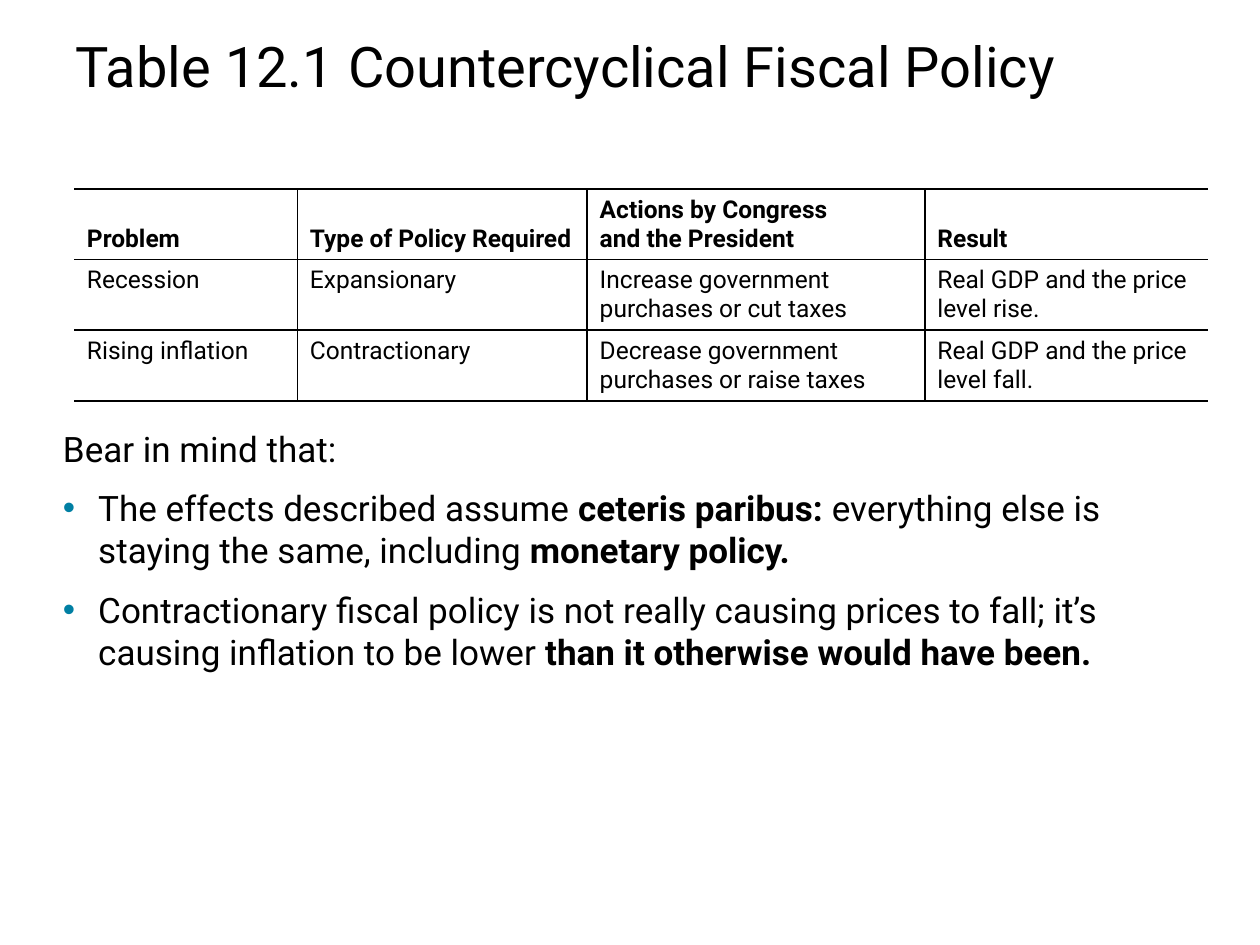
from dataclasses import dataclass

from lxml.etree import SubElement
from pptx import Presentation
from pptx.dml.color import RGBColor as Rgb
from pptx.enum.text import MSO_ANCHOR as Anchor, MSO_AUTO_SIZE as AutoSize, PP_ALIGN as Align
from pptx.oxml import parse_xml
from pptx.oxml.ns import nsdecls, qn
from pptx.util import Inches, Pt


@dataclass(frozen=True)
class Theme:
    font: str = "Roboto"
    ink: str = "000000"
    accent: str = "007FA3"
    title_size: int = 32
    body_size: int = 20
    table_size: int = 14
    rule_width: int = 1
    bullet_indent: float = 0.28


THEME = Theme()
SLIDE_WIDTH, SLIDE_HEIGHT = 10, 7.5
MARGIN = 0.05 * SLIDE_WIDTH
CONTENT_WIDTH = SLIDE_WIDTH - 2 * MARGIN
COLUMN_WIDTHS = (1.77, 2.3, 2.68, 2.25)
ROW_HEIGHT = 0.56

POLICIES = (
    ("Problem", "Type of Policy Required",
     "Actions by Congress\nand the President", "Result"),
    ("Recession", "Expansionary",
     "Increase government\npurchases or cut taxes",
     "Real GDP and the price level rise."),
    ("Rising inflation", "Contractionary",
     "Decrease government\npurchases or raise taxes",
     "Real GDP and the price level fall."),
)
CAVEATS = (
    (("The effects described assume ", False), ("ceteris paribus: ", True),
     ("everything else is staying the same, including ", False),
     ("monetary policy.", True)),
    (("Contractionary fiscal policy is not really causing prices to fall; "
      "it’s causing inflation to be lower ", False),
     ("than it otherwise would have been.", True)),
)


def write(paragraph, text, size, bold=False, color=THEME.ink):
    run = paragraph.add_run()
    run.text = text
    run.font.name = THEME.font
    run.font.size = Pt(size)
    run.font.bold = bold
    run.font.color.rgb = Rgb.from_string(color)


def add_bullet(paragraph):
    properties = paragraph._p.get_or_add_pPr()
    indent = Inches(THEME.bullet_indent)
    properties.set("marL", str(indent))
    properties.set("indent", str(-indent))
    color = SubElement(properties, qn("a:buClr"))
    SubElement(color, qn("a:srgbClr"), val=THEME.accent)
    SubElement(properties, qn("a:buFont"), typeface="Arial")
    SubElement(properties, qn("a:buChar"), char="•")


def add_title(slide, text):
    title = slide.shapes.title
    title.left, title.top = Inches(MARGIN), Inches(0.17)
    title.width, title.height = Inches(CONTENT_WIDTH), Inches(0.76)
    frame = title.text_frame
    frame.word_wrap = True
    frame.auto_size = AutoSize.NONE
    frame.vertical_anchor = Anchor.MIDDLE
    heading = frame.paragraphs[0]
    heading.alignment = Align.LEFT
    heading.line_spacing = 0.9
    write(heading, text, THEME.title_size)


def set_borders(cell, sides):
    properties = cell._tc.get_or_add_tcPr()
    for index, side in enumerate("LRTB"):
        if side in sides:
            line = (f'<a:solidFill><a:srgbClr val="{THEME.ink}"/></a:solidFill>')
        else:
            line = "<a:noFill/>"
        properties.insert(index, parse_xml(
            f'<a:ln{side} {nsdecls("a")} w="{Pt(THEME.rule_width)}">{line}</a:ln{side}>'))


def fill_cell(cell, text, is_header, sides):
    cell.fill.background()
    set_borders(cell, sides)
    cell.vertical_anchor = Anchor.BOTTOM if is_header else Anchor.TOP
    frame = cell.text_frame
    for index, line in enumerate(text.split("\n")):
        paragraph = frame.add_paragraph() if index else frame.paragraphs[0]
        write(paragraph, line, THEME.table_size, bold=is_header)


def add_policy_table(slide):
    last_column = len(COLUMN_WIDTHS) - 1
    policy_table = slide.shapes.add_table(
        len(POLICIES), len(COLUMN_WIDTHS), Inches(0.59), Inches(0.2 * SLIDE_HEIGHT),
        Inches(sum(COLUMN_WIDTHS)), Inches(ROW_HEIGHT * len(POLICIES))).table
    policy_table.first_row = policy_table.horz_banding = False
    for column, width in zip(policy_table.columns, COLUMN_WIDTHS):
        column.width = Inches(width)
    for row_index, policy in enumerate(POLICIES):
        policy_table.rows[row_index].height = Inches(ROW_HEIGHT)
        for column_index, text in enumerate(policy):
            sides = "TB"
            if column_index > 0:
                sides += "L"
            if column_index < last_column:
                sides += "R"
            fill_cell(policy_table.cell(row_index, column_index), text,
                      is_header=row_index == 0, sides=sides)


def add_caveats(slide, lead):
    notes = slide.shapes.add_textbox(
        Inches(MARGIN), Inches(3.39), Inches(CONTENT_WIDTH), Inches(3.03))
    frame = notes.text_frame
    frame.word_wrap = True
    frame.margin_left = frame.margin_right = frame.margin_top = frame.margin_bottom = 0
    write(frame.paragraphs[0], lead, THEME.body_size)
    for caveat in CAVEATS:
        paragraph = frame.add_paragraph()
        add_bullet(paragraph)
        paragraph.space_before = Pt(THEME.body_size / 2)
        for text, bold in caveat:
            write(paragraph, text, THEME.body_size, bold=bold)


def main():
    presentation = Presentation()
    presentation.slide_width = Inches(SLIDE_WIDTH)
    presentation.slide_height = Inches(SLIDE_HEIGHT)
    slide = presentation.slides.add_slide(presentation.slide_layouts[5])
    add_title(slide, "Table 12.1 Countercyclical Fiscal Policy")
    add_policy_table(slide)
    add_caveats(slide, "Bear in mind that:")
    presentation.save("out.pptx")


if __name__ == "__main__":
    main()
